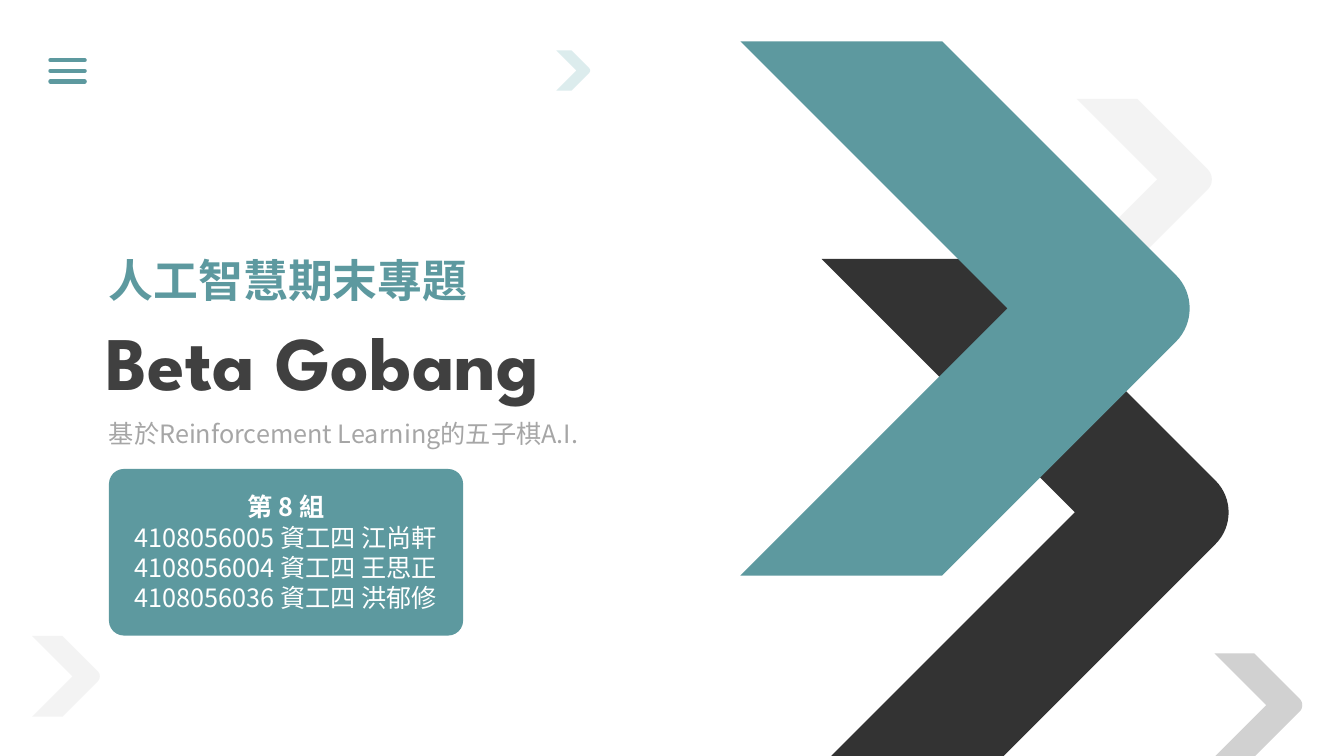
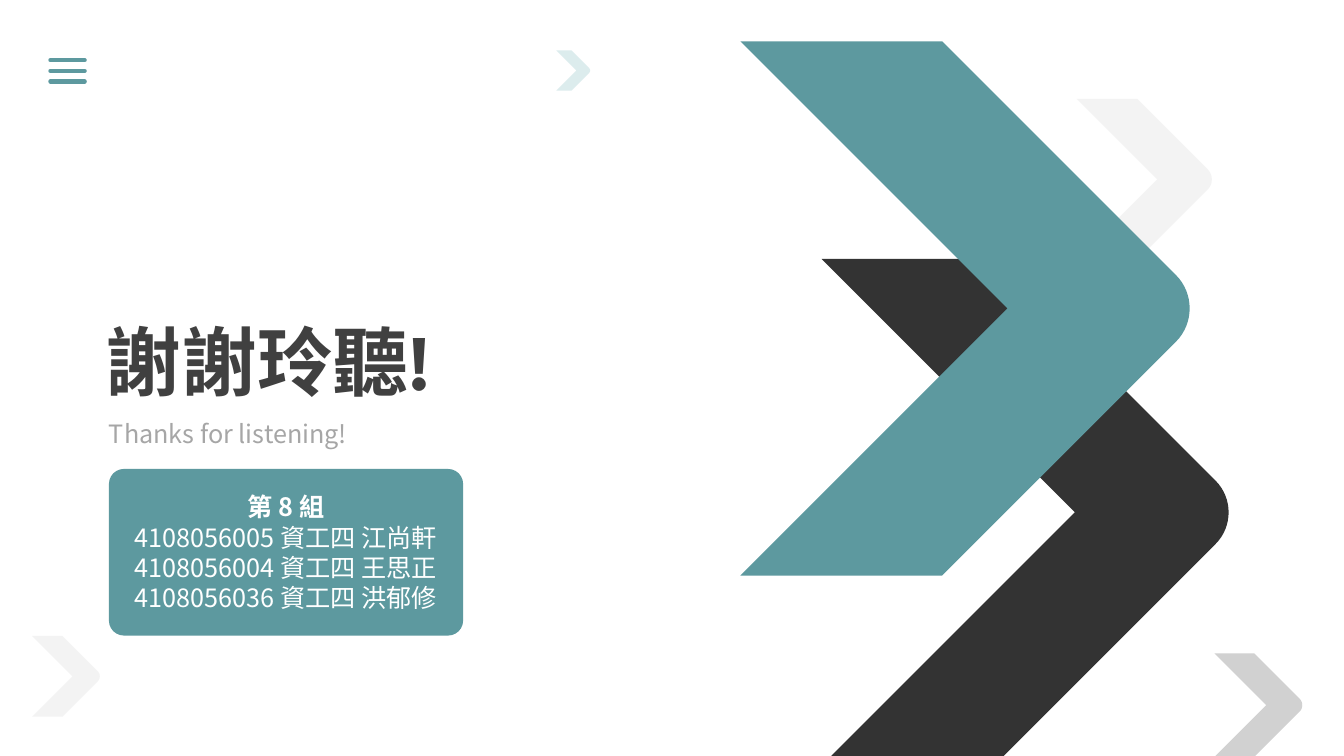
from lxml import etree
from pptx import Presentation
from pptx.dml.color import RGBColor
from pptx.enum import shapes, text
from pptx.oxml import ns
from pptx.util import Pt

WIDTH, HEIGHT = 960, 540
TEAL, DARK, GREY, WHITE = "5D999F", "404040", "A6A6A6", "FFFFFF"
HEADING_FONT, BODY_FONT = "League Spartan", "Noto Sans CJK JP"

SLIDES = [
    {"kicker": "人工智慧期末專題", "title": "Beta Gobang",
     "subtitle": "基於Reinforcement Learning的五子棋A.I."},
    {"title": "謝謝玲聽!", "subtitle": "Thanks for listening!"},
]
TEAM = [
    ("第 8 組", True),
    ("4108056005 資工四 江尚軒", False),
    ("4108056004 資工四 王思正", False),
    ("4108056036 資工四 洪郁修", False),
]
# left, top, band width, reach, colour, opacity
CHEVRONS = [
    (769, 70.6, 43.2, 57.6, "F2F2F2", 90),
    (586.8, 185, 123.1, 181, "000000", 80),
    (528.8, 29.5, 144.2, 190.8, TEAL, 100),
    (867.4, 466.6, 28.4, 37.1, "CCCCCC", 90),
    (23, 454.3, 21.6, 28.8, "F2F2F2", 90),
    (397.4, 36, 10.8, 14.4, "D9EAEC", 90),
]
MENU_LEFT, MENU_RIGHT, MENU_TOP, MENU_STEP = 36, 60.5, 43, 7.6


def color(value):
    return RGBColor.from_string(value)


def place(shape, left, top, width, height):
    shape.left, shape.top = Pt(left), Pt(top)
    shape.width, shape.height = Pt(width), Pt(height)


def fill(shape, value, opacity=100):
    shape.shadow.inherit = False
    shape.line.fill.background()
    shape.fill.solid()
    shape.fill.fore_color.rgb = color(value)
    if opacity < 100:
        solid = shape.fill._xPr.find(ns.qn("a:solidFill"))
        alpha = etree.SubElement(solid[0], ns.qn("a:alpha"))
        alpha.set("val", str(opacity * 1000))


def write(paragraph, words, size, value, font=BODY_FONT, bold=False,
          align=text.PP_ALIGN.LEFT):
    paragraph.alignment = align
    paragraph.space_before = Pt(0)
    paragraph.line_spacing = Pt(round(size * 1.2, 1))
    run = paragraph.add_run()
    run.text = words
    run.font.size, run.font.bold = Pt(size), bold
    run.font.name = font
    run.font.color.rgb = color(value)
    east_asian = etree.SubElement(run.font._element, ns.qn("a:ea"))
    east_asian.set("typeface", BODY_FONT)


def set_frame(shape, wrap=True, anchor=text.MSO_ANCHOR.TOP):
    frame = shape.text_frame
    frame.auto_size = text.MSO_AUTO_SIZE.NONE
    frame.word_wrap = wrap
    frame.vertical_anchor = anchor
    return frame


def chevron_points(left, top, band, reach):
    middle, round_half = top + reach, reach / 8
    bottom = min(top + 2 * reach, HEIGHT)
    inset = top + 2 * reach - bottom
    shoulder = left + band + reach - round_half
    bulge = 0.55 * round_half
    points = [(left, top), (left + band, top)]
    for step in range(17):
        t = step / 16
        points.append((
            shoulder + 3 * t * (1 - t) * bulge,
            middle - round_half * (1 - t) ** 3 + round_half * t ** 3
            + 3 * t * (1 - t) * (2 * t - 1) * (round_half - bulge)))
    return points + [(left + band + inset, bottom), (left + inset, bottom),
                     (left + reach, middle)]


def add_chevron(slide, left, top, band, reach, value, opacity):
    points = [(Pt(x), Pt(y)) for x, y in chevron_points(left, top, band, reach)]
    builder = slide.shapes.build_freeform(*points[0])
    builder.add_line_segments(points[1:], close=True)
    fill(builder.convert_to_shape(), value, opacity)


def add_menu(slide):
    group = slide.shapes.add_group_shape()
    for index in range(3):
        y = Pt(MENU_TOP + index * MENU_STEP)
        bar = group.shapes.add_connector(
            shapes.MSO_CONNECTOR.STRAIGHT, Pt(MENU_LEFT), y, Pt(MENU_RIGHT), y)
        bar.line.color.rgb = color(TEAL)
        bar.line.width = Pt(3)
        bar.line._get_or_add_ln().set("cap", "rnd")
        etree.SubElement(bar._element.spPr, ns.qn("a:effectLst"))


def add_team(slide):
    card = slide.shapes.add_shape(
        shapes.MSO_SHAPE.ROUNDED_RECTANGLE, Pt(77.8), Pt(335), Pt(253), Pt(119))
    card.adjustments[0] = 0.09
    fill(card, TEAL)
    frame = set_frame(card, anchor=text.MSO_ANCHOR.MIDDLE)
    for index, (words, bold) in enumerate(TEAM):
        paragraph = frame.add_paragraph() if index else frame.paragraphs[0]
        write(paragraph, words, 18, WHITE, bold=bold, align=text.PP_ALIGN.CENTER)


def add_slide(presentation, content):
    slide = presentation.slides.add_slide(presentation.slide_layouts[0])
    title, subtitle = slide.shapes.title, slide.placeholders[1]
    for chevron in CHEVRONS:
        add_chevron(slide, *chevron)
    place(title, 68.4, 221, 496, 73)
    write(set_frame(title).paragraphs[0], content["title"], 54, DARK,
          HEADING_FONT, True)
    place(subtitle, 70.6, 295.5, 477, 29)
    write(set_frame(subtitle).paragraphs[0], content["subtitle"], 18, GREY)
    if "kicker" in content:
        kicker = slide.shapes.add_textbox(Pt(70.6), Pt(177), Pt(273), Pt(46))
        write(set_frame(kicker, wrap=False).paragraphs[0], content["kicker"],
              32, TEAL, HEADING_FONT, True)
    add_team(slide)
    add_menu(slide)


def main():
    presentation = Presentation()
    presentation.slide_width, presentation.slide_height = Pt(WIDTH), Pt(HEIGHT)
    for content in SLIDES:
        add_slide(presentation, content)
    presentation.save("out.pptx")


if __name__ == "__main__":
    main()
